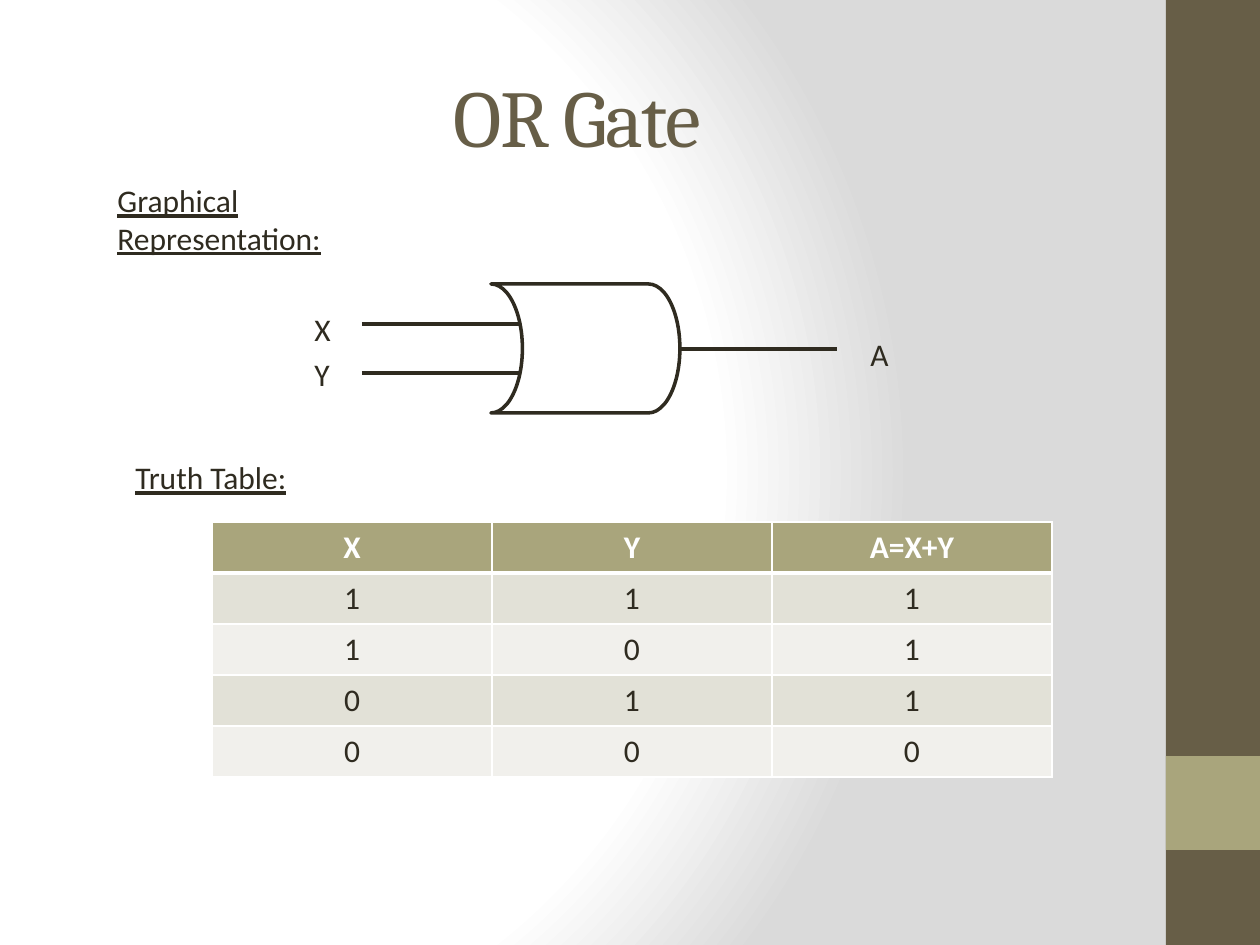
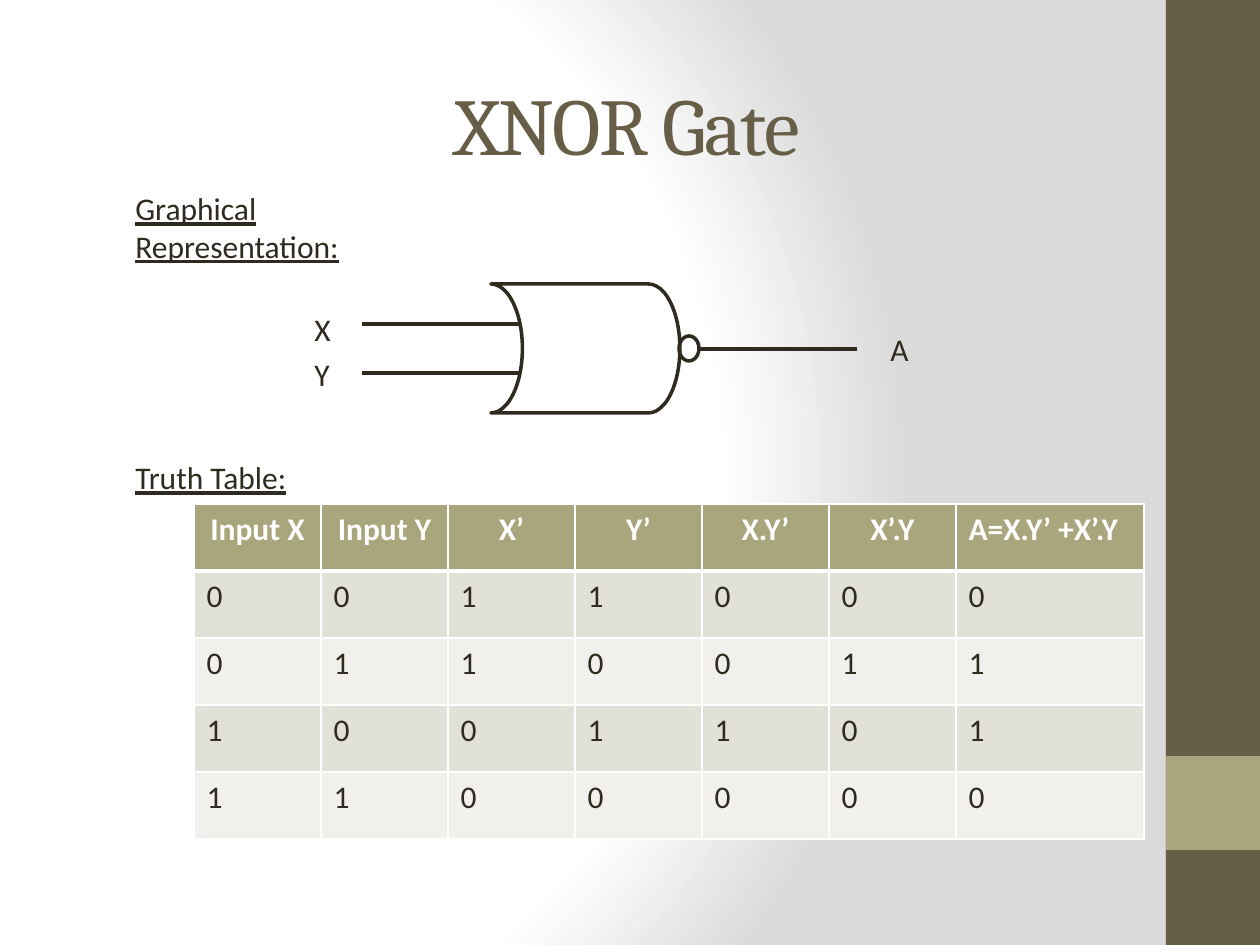
import dataclasses

import lxml.etree
import pptx
import pptx.dml.color
import pptx.enum.shapes
import pptx.enum.text
import pptx.oxml
import pptx.oxml.ns
import pptx.util

EMU_PER_PX = 914400 / 126
SHAPE = pptx.enum.shapes.MSO_SHAPE
LEFT = pptx.enum.text.PP_ALIGN.LEFT
CENTER = pptx.enum.text.PP_ALIGN.CENTER


@dataclasses.dataclass(frozen=True)
class Theme:
    ink: str = "2F2B20"
    brown: str = "675E47"
    olive: str = "A9A57C"
    white: str = "FFFFFF"
    shade: str = "DADADA"
    row_fills: tuple = ("E2E1D7", "F1F0EC")
    title_font: str = "Cambria"
    body_font: str = "Calibri"
    title_size: int = 46
    body_size: int = 18
    line_width: int = 2
    border_width: int = 1
    header_rule: int = 3


THEME = Theme()


def px(length):
    return pptx.util.Emu(round(length * EMU_PER_PX))


def box(*lengths):
    return [px(length) for length in lengths]


def rgb(color):
    return pptx.dml.color.RGBColor.from_string(color)


def add_run(paragraph, text, color=THEME.ink, size=THEME.body_size,
            font=THEME.body_font, bold=False, underline=False):
    run = paragraph.add_run()
    run.text = text
    run.font.name = font
    run.font.size = pptx.util.Pt(size)
    run.font.color.rgb = rgb(color)
    run.font.bold = bold
    run.font.underline = underline
    return run


def set_background(master):
    master.background.fill.solid()
    properties = master.element.cSld.bg.bgPr
    stops = "".join(
        f'<a:gs pos="{position}"><a:srgbClr val="{color}"/></a:gs>'
        for position, color in ((0, THEME.white), (75000, THEME.white), (100000, THEME.shade))
    )
    gradient = pptx.oxml.parse_xml(
        f'<a:gradFill {pptx.oxml.ns.nsdecls("a")} rotWithShape="1"><a:gsLst>{stops}</a:gsLst>'
        '<a:path path="circle"><a:fillToRect l="20000" t="50000" r="100000" b="50000"/></a:path>'
        '</a:gradFill>'
    )
    properties.replace(properties[0], gradient)


def add_band(slide, top, height, color):
    band = slide.shapes.add_shape(SHAPE.RECTANGLE, *box(1166, top, 94, height))
    band.shadow.inherit = False
    band.fill.solid()
    band.fill.fore_color.rgb = rgb(color)
    band.line.fill.background()


def set_title(slide, text, left, top, width):
    title = slide.shapes.title
    title.left, title.top, title.width, title.height = box(left, top, width, 157)
    frame = title.text_frame
    frame.vertical_anchor = pptx.enum.text.MSO_ANCHOR.MIDDLE
    frame.auto_size = pptx.enum.text.MSO_AUTO_SIZE.NONE
    paragraph = frame.paragraphs[0]
    paragraph.alignment = LEFT
    run = add_run(paragraph, text, THEME.brown, THEME.title_size, THEME.title_font)
    run.font._element.set("spc", "-100")


def add_text(slide, lines, left, top, width, height=50, underline=False):
    frame = slide.shapes.add_textbox(*box(left, top, width, height)).text_frame
    frame.word_wrap = True
    frame.auto_size = pptx.enum.text.MSO_AUTO_SIZE.SHAPE_TO_FIT_TEXT
    for index, line in enumerate(lines):
        paragraph = frame.add_paragraph() if index else frame.paragraphs[0]
        add_run(paragraph, line, underline=underline)


def style_line(line):
    line.color.rgb = rgb(THEME.ink)
    line.width = pptx.util.Pt(THEME.line_width)


def add_wire(slide, left, y):
    wire = slide.shapes.add_connector(
        pptx.enum.shapes.MSO_CONNECTOR.STRAIGHT, *box(left, y, left + 158, y))
    style_line(wire.line)
    lxml.etree.SubElement(wire.element.spPr, pptx.oxml.ns.qn("a:effectLst"))


def add_outline(slide, kind, left, top, width, height):
    outline = slide.shapes.add_shape(kind, *box(left, top, width, height))
    outline.shadow.inherit = False
    outline.fill.background()
    style_line(outline.line)
    return outline


def add_gate(slide, inverted, output_label_top, output_label_width):
    for label, label_top, wire_y in (("X", 304, 324), ("Y", 349, 373)):
        add_text(slide, [label], 302, label_top, 59)
        add_wire(slide, 362, wire_y)
    body = add_outline(slide, SHAPE.FLOWCHART_STORED_DATA, 491, 284, 189, 129)
    body.element.spPr.xfrm.set("flipH", "1")
    output_left = 679
    if inverted:
        add_outline(slide, SHAPE.OVAL, output_left, 336, 20, 25)
        output_left += 20
    add_wire(slide, output_left, 349)
    add_text(slide, ["A"], output_left + 179, output_label_top, output_label_width)


def set_borders(cell, top_width, bottom_width):
    properties = cell._tc.get_or_add_tcPr()
    widths = {"L": THEME.border_width, "R": THEME.border_width,
              "T": top_width, "B": bottom_width}
    for index, (side, width) in enumerate(widths.items()):
        properties.insert(index, pptx.oxml.parse_xml(
            f'<a:ln{side} {pptx.oxml.ns.nsdecls("a")} w="{pptx.util.Pt(width)}">'
            f'<a:solidFill><a:srgbClr val="{THEME.white}"/></a:solidFill></a:ln{side}>'
        ))


def add_truth_table(slide, left, top, column_widths, row_height, headers,
                    header_alignments, rows, body_alignment):
    table = slide.shapes.add_table(
        len(rows) + 1, len(headers),
        *box(left, top, sum(column_widths), row_height * (len(rows) + 1))).table
    for column, width in zip(table.columns, column_widths):
        column.width = px(width)
    for row_index, values in enumerate([headers, *rows]):
        table.rows[row_index].height = px(row_height)
        is_header = row_index == 0
        fill = THEME.olive if is_header else THEME.row_fills[(row_index - 1) % 2]
        top_width = THEME.header_rule if row_index == 1 else THEME.border_width
        bottom_width = THEME.header_rule if is_header else THEME.border_width
        for column_index, value in enumerate(values):
            cell = table.cell(row_index, column_index)
            cell.fill.solid()
            cell.fill.fore_color.rgb = rgb(fill)
            set_borders(cell, top_width, bottom_width)
            paragraph = cell.text_frame.paragraphs[0]
            paragraph.alignment = header_alignments[column_index] if is_header else body_alignment
            add_run(paragraph, value, THEME.white if is_header else THEME.ink, bold=is_header)


def add_gate_slide(deck, title, title_box, heading_box):
    slide = deck.slides.add_slide(deck.slide_layouts.get_by_name("Title Only"))
    add_band(slide, 0, 945, THEME.brown)
    add_band(slide, 756, 94, THEME.olive)
    set_title(slide, title, *title_box)
    add_text(slide, ["Graphical", "Representation:"], *heading_box, underline=True)
    add_text(slide, ["Truth Table:"], 123, 452, 179, underline=True)
    return slide


def main():
    deck = pptx.Presentation()
    deck.slide_width, deck.slide_height = box(1260, 945)
    set_background(deck.slide_master)

    or_slide = add_gate_slide(deck, "OR Gate", (441, 37, 299), (105, 175, 258, 89))
    add_gate(or_slide, False, 329, 69)
    add_truth_table(
        or_slide, 212, 522, [280] * 3, 51,
        ["X", "Y", "A=X+Y"], [CENTER] * 3,
        ["111", "101", "011", "000"], CENTER)

    xnor_slide = add_gate_slide(deck, "XNOR Gate", (442, 45, 398), (123, 183, 238, 89))
    add_gate(xnor_slide, True, 324, 79)
    add_truth_table(
        xnor_slide, 194, 504, [127] * 6 + [188], 67,
        ["Input X", "Input Y", "X’", "Y’", "X.Y’", "X’.Y", "A=X.Y’ +X’.Y"],
        [CENTER] * 6 + [LEFT],
        ["0011000", "0110011", "1001101", "1100000"], LEFT)

    deck.save("out.pptx")


if __name__ == "__main__":
    main()
